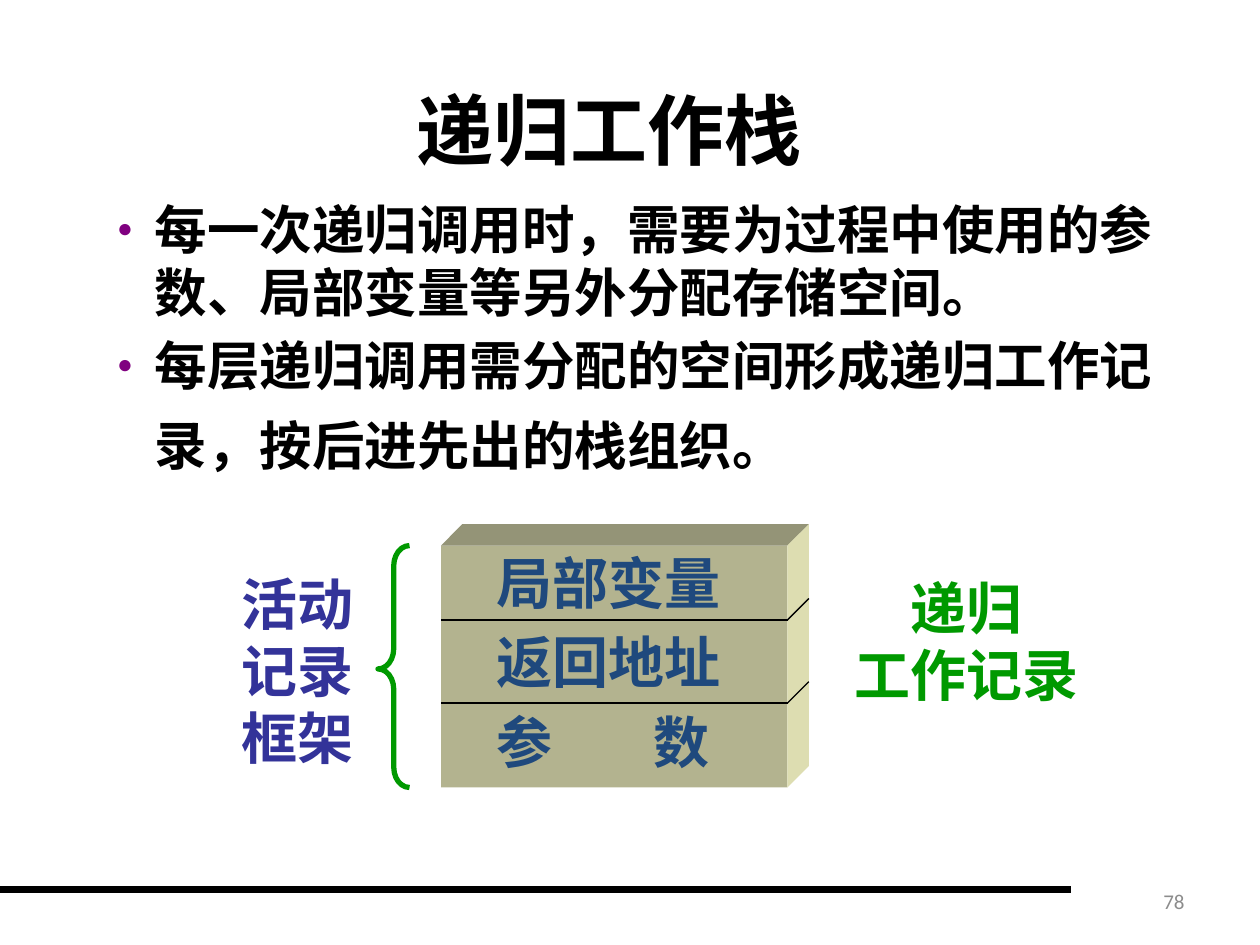
from lxml.etree import SubElement
from pptx import Presentation
from pptx.dml.color import RGBColor
from pptx.enum.shapes import MSO_CONNECTOR, MSO_SHAPE
from pptx.enum.text import MSO_ANCHOR, MSO_AUTO_SIZE, PP_ALIGN
from pptx.oxml.ns import qn
from pptx.util import Inches, Pt

BLACK = RGBColor(0x00, 0x00, 0x00)
GRAY = RGBColor(0x8C, 0x8C, 0x8C)
NAVY = RGBColor(0x1F, 0x49, 0x7D)
INDIGO = RGBColor(0x33, 0x33, 0x99)
GREEN = RGBColor(0x00, 0x99, 0x00)
FRONT = RGBColor(0xB3, 0xB3, 0x8F)
TOP = RGBColor(0x94, 0x94, 0x77)
SIDE = RGBColor(0xDD, 0xDD, 0xB1)
BULLET_COLOR = "800080"

# Content
TITLE = "递归工作栈"
BULLETS = [
    "每一次递归调用时，需要为过程中使用的参数、局部变量等另外分配存储空间。",
    "每层递归调用需分配的空间形成递归工作记录，按后进先出的栈组织。",
]
RECORD_FIELDS = ["局部变量", "返回地址", "参\t数"]
FRAME_LABEL = ["活动记录框架"]
RECORD_LABEL = ["递归", "工作记录"]
PAGE_NUMBER = ["78"]

# Formats
TITLE_FONT = {"name": "Calibri", "size": Pt(44), "bold": True}
BODY_FONT = {"name": "Calibri", "size": Pt(30), "bold": True}
LABEL_FONT = {"name": "Times New Roman", "size": Pt(32), "bold": True}
NUMBER_FONT = {"name": "Calibri", "size": Pt(12), "bold": False}

# Block geometry in inches
LEFT, UPPER, WIDTH, HEIGHT, DEPTH = 3.5, 4.33, 2.75, 1.92, 0.17
RIGHT, LOWER = LEFT + WIDTH, UPPER + HEIGHT
DIVIDERS = [4.92, 5.58]


def set_format(font, values, color):
    for name, value in values.items():
        setattr(font, name, value)
    font.color.rgb = color


def place(shape, box):
    for name, value in zip(("left", "top", "width", "height"), box):
        setattr(shape, name, Inches(value))


def add_text(slide, box, lines, font, color, align=PP_ALIGN.LEFT, wrap=True):
    shape = slide.shapes.add_textbox(*map(Inches, box))
    frame = shape.text_frame
    frame.word_wrap = wrap
    for index, line in enumerate(lines):
        paragraph = frame.paragraphs[0] if index == 0 else frame.add_paragraph()
        paragraph.alignment = align
        run = paragraph.add_run()
        run.text = line
        set_format(run.font, font, color)
    return frame


def add_line(slide, start, end, weight):
    points = map(Inches, (*start, *end))
    line = slide.shapes.add_connector(MSO_CONNECTOR.STRAIGHT, *points)
    line.line.color.rgb = BLACK
    line.line.width = Pt(weight)
    SubElement(line._element.spPr, qn("a:effectLst"))


def fill_face(shape, color):
    shape.shadow.inherit = False
    shape.fill.solid()
    shape.fill.fore_color.rgb = color
    shape.line.fill.background()


def add_face(slide, points, color):
    corners = [(Inches(x), Inches(y)) for x, y in points]
    builder = slide.shapes.build_freeform(*corners[0])
    builder.add_line_segments(corners[1:], close=True)
    fill_face(builder.convert_to_shape(), color)


def add_bullet(paragraph):
    properties = paragraph._p.get_or_add_pPr()
    properties.set("marL", str(Inches(0.3)))
    properties.set("indent", str(-Inches(0.3)))
    color = SubElement(properties, qn("a:buClr"))
    SubElement(color, qn("a:srgbClr"), val=BULLET_COLOR)
    SubElement(properties, qn("a:buSzPct"), val="50000")
    SubElement(properties, qn("a:buChar"), char="●")


presentation = Presentation()
presentation.slide_width, presentation.slide_height = Inches(10), Inches(7.5)
slide = presentation.slides.add_slide(presentation.slide_layouts[1])

# Footer rule and page number
add_line(slide, (0, 7.06), (8.5, 7.06), 4.5)
number = add_text(slide, (7.17, 6.95, 2.33, 0.4), PAGE_NUMBER, NUMBER_FONT, GRAY,
                  PP_ALIGN.RIGHT)
number.vertical_anchor = MSO_ANCHOR.MIDDLE

# Title
title = slide.shapes.title
place(title, (1.5, 0.58, 6.67, 0.88))
title.text_frame.text = TITLE
title.text_frame.auto_size = MSO_AUTO_SIZE.NONE
title.text_frame.vertical_anchor = MSO_ANCHOR.MIDDLE
set_format(title.text_frame.paragraphs[0].runs[0].font, TITLE_FONT, BLACK)

# Bullet list
body = slide.placeholders[1]
place(body, (0.83, 1.51, 8.5, 5.67))
body.text_frame.text = "\n".join(BULLETS)
body.text_frame.auto_size = MSO_AUTO_SIZE.NONE
for index, paragraph in enumerate(body.text_frame.paragraphs):
    add_bullet(paragraph)
    paragraph.space_before = Pt(5.8 if index else 0)
    set_format(paragraph.runs[0].font, BODY_FONT, BLACK)
# A larger closing space opens up the last line
closing = body.text_frame.paragraphs[-1].add_run()
closing.text = " "
closing.font.size = Pt(40)

# Block with top and side faces
front = slide.shapes.add_shape(
    MSO_SHAPE.RECTANGLE, *map(Inches, (LEFT, UPPER, WIDTH, HEIGHT)))
fill_face(front, FRONT)
back_corner = (RIGHT + DEPTH, UPPER - DEPTH)
add_face(slide, [(LEFT, UPPER), (LEFT + DEPTH, UPPER - DEPTH), back_corner,
                 (RIGHT, UPPER)], TOP)
add_face(slide, [(RIGHT, UPPER), back_corner, (RIGHT + DEPTH, LOWER - DEPTH),
                 (RIGHT, LOWER)], SIDE)
for y in DIVIDERS:
    add_line(slide, (LEFT, y), (RIGHT, y), 0.75)
    add_line(slide, (RIGHT, y), (RIGHT + DEPTH, y - DEPTH), 0.75)

# Record fields
fields = add_text(slide, (3.84, 4.25, 2.24, 1.97), RECORD_FIELDS, LABEL_FONT, NAVY)
for index, paragraph in enumerate(fields.paragraphs):
    tabs = SubElement(paragraph._p.get_or_add_pPr(), qn("a:tabLst"))
    SubElement(tabs, qn("a:tab"), pos=str(Inches(1.25)), algn="l")
    paragraph.line_spacing = 1.1
    paragraph.space_before = Pt(3.2 if index else 0)

# Brace and labels
brace = slide.shapes.add_shape(
    MSO_SHAPE.LEFT_BRACE, *map(Inches, (3, UPPER, 0.25, HEIGHT)))
brace.shadow.inherit = False
brace.fill.background()
brace.line.color.rgb = GREEN
brace.line.width = Pt(3)
brace.adjustments[0], brace.adjustments[1] = 0.64, 0.51
add_text(slide, (1.82, 4.47, 1.18, 1.7), FRAME_LABEL, LABEL_FONT, INDIGO)
add_text(slide, (6.68, 4.5, 1.99, 1.17), RECORD_LABEL, LABEL_FONT, GREEN,
         PP_ALIGN.CENTER, wrap=False)

presentation.save("out.pptx")
